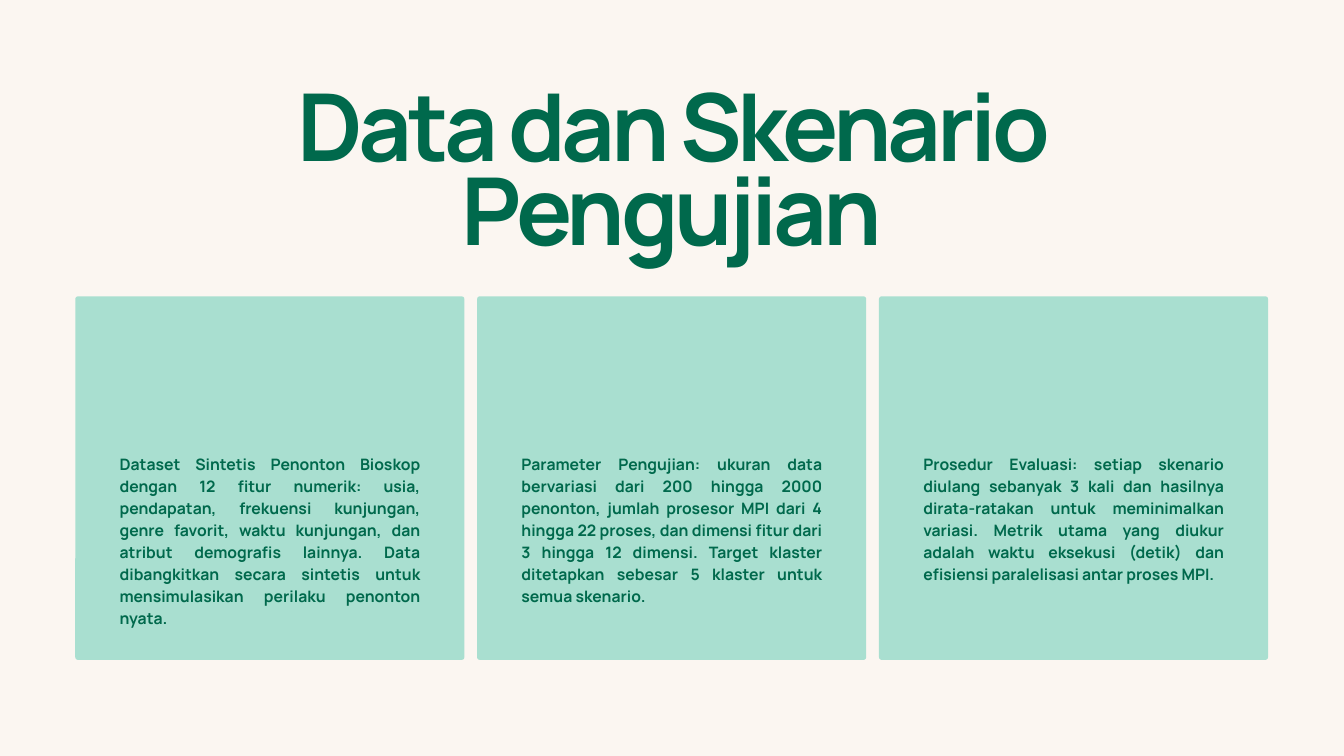
"""Build the slide on test data and test scenarios."""
import dataclasses

import pptx
import pptx.dml.color
import pptx.enum.shapes
import pptx.enum.text
import pptx.util

Inches = pptx.util.Inches
Pt = pptx.util.Pt
Align = pptx.enum.text.PP_ALIGN

HUES = {"page": "FBF6F1", "card": "A9DFD0", "ink": "00694C"}
FONT = "Manrope"
LEFT, TOP, WIDE, HIGH = 1.12, 4.41, 5.79, 5.41
STEP = 5.98
ROUND = 0.04


@dataclasses.dataclass
class Card:
    text: str
    high: float = 2.27


@dataclasses.dataclass
class Style:
    size: float
    lead: float
    align: Align
    track: float = 0


HEAD = Style(100.3, 90.3, Align.CENTER, -4.6)
BODY = Style(16.9, 23.6, Align.JUSTIFY)

CARDS = [
    Card("Dataset Sintetis Penonton Bioskop dengan 12 fitur numerik: usia, "
         "pendapatan, frekuensi kunjungan, genre favorit, waktu kunjungan, dan "
         "atribut demografis lainnya. Data dibangkitkan secara sintetis untuk "
         "mensimulasikan perilaku penonton nyata."),
    Card("Parameter Pengujian: ukuran data bervariasi dari 200 hingga 2000 "
         "penonton, jumlah prosesor MPI dari 4 hingga 22 proses, dan dimensi "
         "fitur dari 3 hingga 12 dimensi. Target klaster ditetapkan sebesar 5 "
         "klaster untuk semua skenario."),
    Card("Prosedur Evaluasi: setiap skenario diulang sebanyak 3 kali dan "
         "hasilnya dirata-ratakan untuk meminimalkan variasi. Metrik utama yang "
         "diukur adalah waktu eksekusi (detik) dan efisiensi paralelisasi antar "
         "proses MPI.", 1.94),
]


def tint(name: str) -> pptx.dml.color.RGBColor:
    """Return the named colour."""
    return pptx.dml.color.RGBColor.from_string(HUES[name])


def write(shape, text: str, style: Style) -> None:
    """Set one styled paragraph in a shape without margins."""
    frame = shape.text_frame
    frame.word_wrap = True
    frame.auto_size = pptx.enum.text.MSO_AUTO_SIZE.NONE
    frame.vertical_anchor = pptx.enum.text.MSO_ANCHOR.TOP
    frame.margin_left = frame.margin_right = 0
    frame.margin_top = frame.margin_bottom = 0
    para = frame.paragraphs[0]
    para.alignment = style.align
    para.line_spacing = Pt(style.lead)
    run = para.add_run()
    run.text = text
    font = run.font
    font.name = FONT
    font.size = Pt(style.size)
    font.bold = True
    font.color.rgb = tint("ink")
    if style.track:
        run._r.get_or_add_rPr().set("spc", str(round(style.track * 100)))


def draw(slide, card: Card, left: float) -> None:
    """Draw one card with its text."""
    box = slide.shapes.add_shape(
        pptx.enum.shapes.MSO_SHAPE.ROUNDED_RECTANGLE,
        Inches(left), Inches(TOP), Inches(WIDE), Inches(HIGH))
    box.adjustments[0] = ROUND / HIGH
    box.shadow.inherit = False
    box.fill.solid()
    box.fill.fore_color.rgb = tint("card")
    box.line.fill.background()
    note = slide.shapes.add_textbox(
        Inches(left + 0.66), Inches(6.72), Inches(4.48), Inches(card.high))
    write(note, card.text, BODY)


def main() -> None:
    """Build and save the slide."""
    deck = pptx.Presentation()
    deck.slide_width, deck.slide_height = Inches(20), Inches(11.25)
    slide = deck.slides.add_slide(deck.slide_layouts[5])
    slide.background.fill.solid()
    slide.background.fill.fore_color.rgb = tint("page")
    title = slide.shapes.title
    title.left, title.top = Inches(2.42), Inches(1.43)
    title.width, title.height = Inches(15.15), Inches(2.62)
    write(title, "Data dan Skenario Pengujian", HEAD)
    for i, card in enumerate(CARDS):
        draw(slide, card, LEFT + i * STEP)
    deck.save("out.pptx")


if __name__ == "__main__":
    main()
